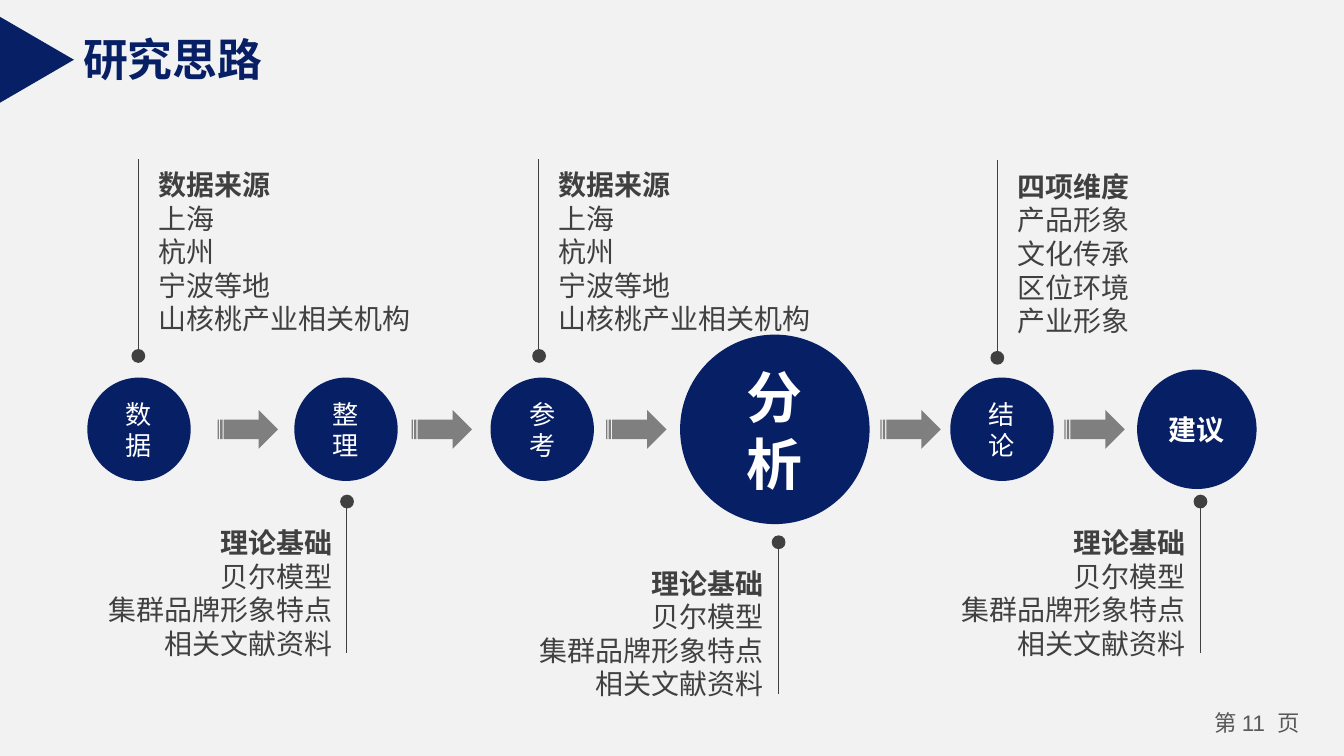
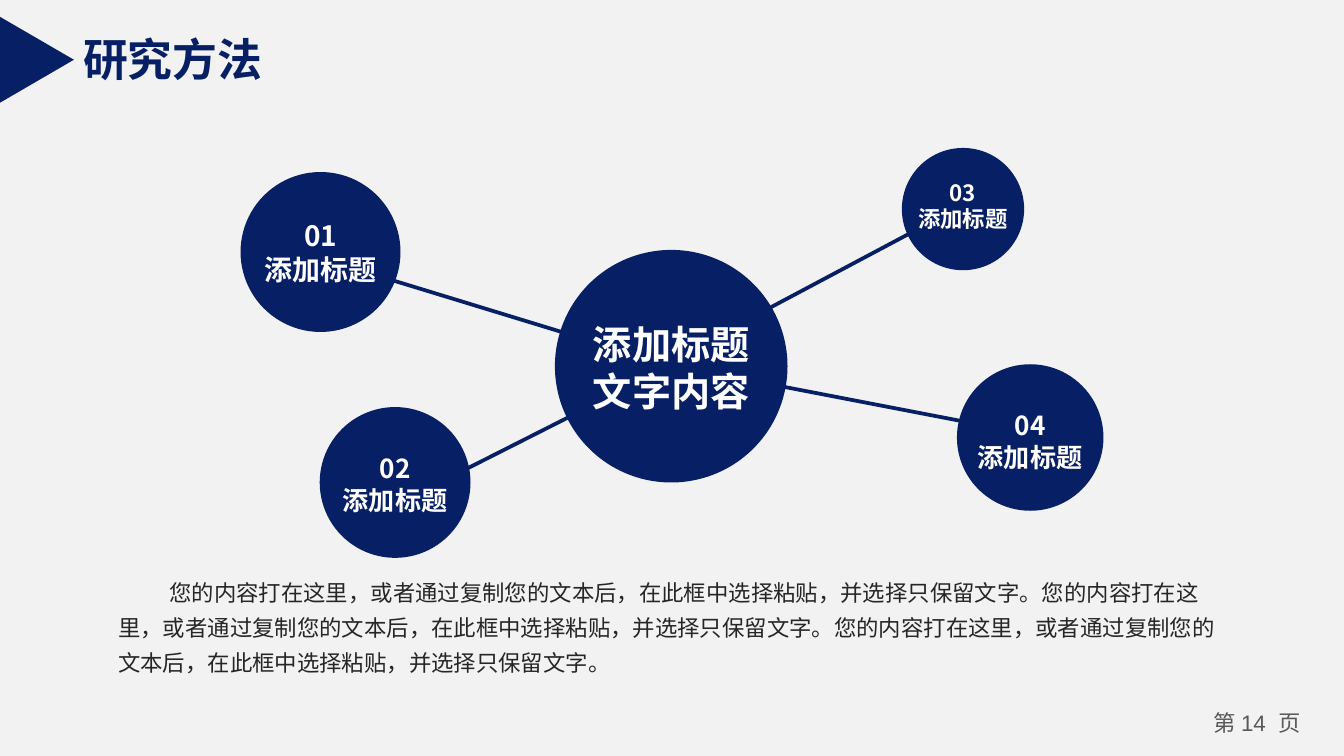
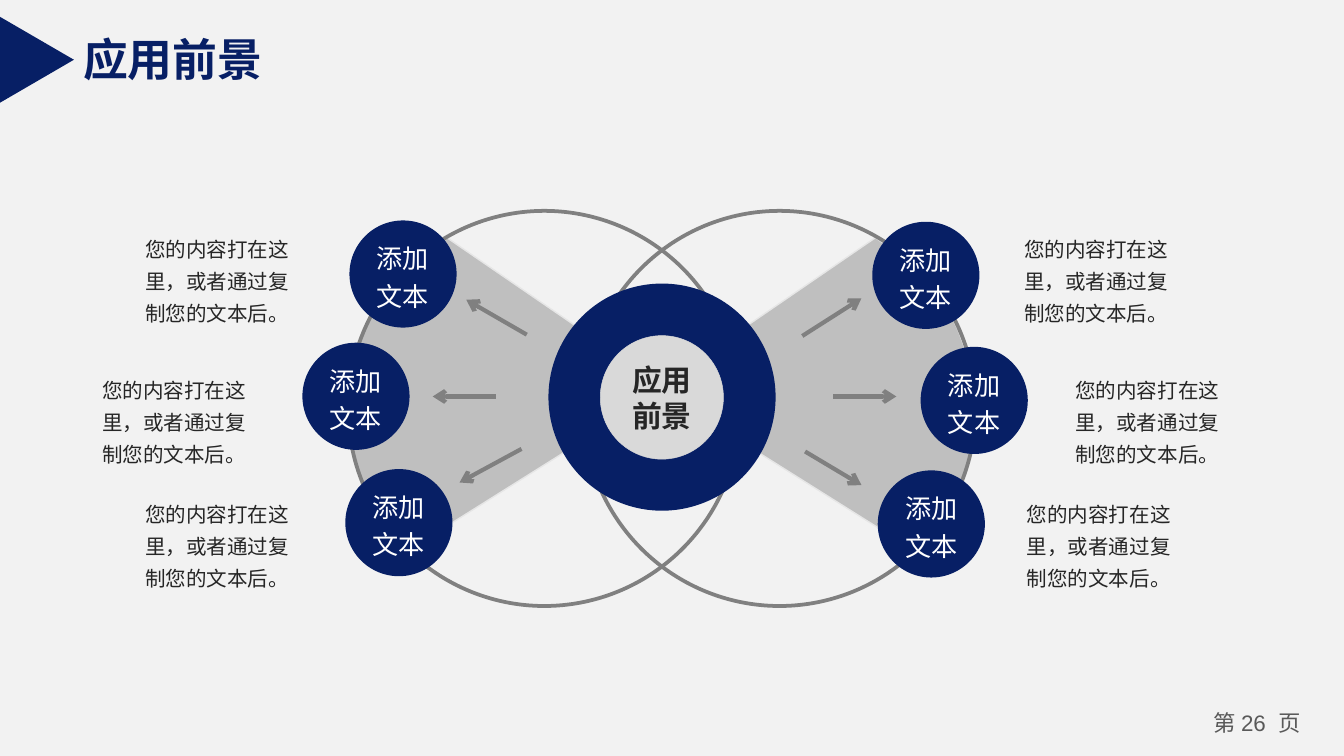
"""Build three research slides: process, method and outlook."""
from lxml import etree
from pptx import Presentation
from pptx.dml.color import RGBColor
from pptx.enum import shapes, text
from pptx.oxml.ns import qn
from pptx.util import Pt


class Theme:
    paper = RGBColor.from_string("F2F2F2")
    navy = RGBColor.from_string("071F65")
    white = RGBColor.from_string("FFFFFF")
    ink = RGBColor.from_string("262626")
    note = RGBColor.from_string("404040")
    footer = RGBColor.from_string("595959")
    arrow = RGBColor.from_string("7F7F7F")
    ring = RGBColor.from_string("808080")
    fan = RGBColor.from_string("BFBFBF")
    fan_edge = RGBColor.from_string("E6E6E6")
    core = RGBColor.from_string("D9D9D9")
    core_edge = RGBColor.from_string("D7D7D7")
    cjk = "Noto Sans CJK SC"
    latin = "Arial"
    condensed = "Roboto Condensed"
    title_size = 24
    footer_size = 12
    body_size = 12
    small_size = 11
    step_size = 14
    note_size = 15
    core_size = 16
    wide_inset = (7.2, 3.6)
    tight_inset = (5, 2.9)


SHAPE = shapes.MSO_SHAPE
ALIGN = text.PP_ALIGN


def draw(slide, kind, box, fill=None, outline=None, weight=1, lines=(), size=12,
         color=Theme.white, bold_lines=0, align=ALIGN.CENTER, spacing=None,
         inset=Theme.wide_inset, wrap=True, indent=0):
    """Add a preset shape, or a text box when kind is None, with its text."""
    box = [Pt(length) for length in box]
    if kind is None:
        shape = slide.shapes.add_textbox(*box)
    else:
        shape = slide.shapes.add_shape(kind, *box)
        shape.shadow.inherit = False
        if fill is None:
            shape.fill.background()
        else:
            shape.fill.solid()
            shape.fill.fore_color.rgb = fill
        if outline is None:
            shape.line.fill.background()
        else:
            shape.line.color.rgb = outline
            shape.line.width = Pt(weight)
    if not lines:
        return shape
    frame = shape.text_frame
    frame.word_wrap = wrap
    frame.margin_left = frame.margin_right = Pt(inset[0])
    frame.margin_top = frame.margin_bottom = Pt(inset[1])
    frame.vertical_anchor = text.MSO_ANCHOR.TOP if kind is None else text.MSO_ANCHOR.MIDDLE
    for index, runs in enumerate(lines):
        paragraph = frame.paragraphs[0] if index == 0 else frame.add_paragraph()
        paragraph.alignment = align
        if spacing:
            paragraph.line_spacing = spacing
        if indent:
            paragraph._p.get_or_add_pPr().set("indent", str(Pt(indent)))
        for words, font in runs:
            run = paragraph.add_run()
            run.text = words
            run.font.name = font
            run.font.size = Pt(size)
            run.font.bold = index < bold_lines
            run.font.color.rgb = color
            east_asian = etree.SubElement(run._r.get_or_add_rPr(), qn("a:ea"))
            east_asian.set("typeface", Theme.cjk)
    return shape


def connect(slide, start, end, color, weight, arrow=False):
    """Add a straight line, with an open arrowhead at its end if asked."""
    ends = [Pt(length) for length in (*start, *end)]
    connector = slide.shapes.add_connector(shapes.MSO_CONNECTOR.STRAIGHT, *ends)
    connector.line.color.rgb = color
    connector.line.width = Pt(weight)
    if arrow:
        etree.SubElement(connector.line._get_or_add_ln(), qn("a:tailEnd")).set("type", "arrow")
    etree.SubElement(connector._element.spPr, qn("a:effectLst"))


presentation = Presentation()
presentation.slide_width = Pt(720)
presentation.slide_height = Pt(405)

slides = []
for title, number in (("研究思路", "11  "), ("研究方法", "14  "), ("应用前景", "26  ")):
    slide = presentation.slides.add_slide(presentation.slide_layouts[6])
    slide.background.fill.solid()
    slide.background.fill.fore_color.rgb = Theme.paper
    draw(slide, None, (641, 377.3, 65, 21.6), size=Theme.footer_size, color=Theme.footer,
         lines=[[("第 ", Theme.cjk), (number, Theme.latin), ("页", Theme.cjk)]],
         inset=Theme.tight_inset)
    draw(slide, None, (37.4, 13.7, 111.6, 36), lines=[[(title, Theme.latin)]],
         size=Theme.title_size, color=Theme.navy, bold_lines=1, align=ALIGN.LEFT, wrap=False)
    marker = draw(slide, SHAPE.ISOSCELES_TRIANGLE, (-3.2, 12.2, 46, 39.6), Theme.navy)
    marker.rotation = 90
    slides.append(slide)
process, method, outlook = slides

axis = 230
steps = [
    ("数据", 74.5, 55.4, Theme.step_size, 0),
    ("整理", 185.4, 55.4, Theme.step_size, 0),
    ("参考", 290.5, 55.4, Theme.step_size, 0),
    ("分析", 415.1, 101.5, 30, 1),
    ("结论", 536.8, 55.4, Theme.step_size, 0),
    ("建议", 641.2, 64, 15, 1),
]
for label, center, diameter, size, bold_lines in steps:
    draw(process, SHAPE.OVAL, (center - diameter / 2, axis - diameter / 2, diameter, diameter),
         Theme.navy, lines=[[(label, Theme.cjk)]], size=size, bold_lines=bold_lines)
for left in (116.6, 220.5, 324.7, 471.6, 570.2):
    draw(process, SHAPE.STRIPED_RIGHT_ARROW, (left, axis - 10.4, 32.4, 20.9), Theme.arrow)

sources = ["数据来源", "上海", "杭州", "宁波等地", "山核桃产业相关机构"]
dimensions = ["四项维度", "产品形象", "文化传承", "区位环境", "产业形象"]
theory = ["理论基础", "贝尔模型", "集群品牌形象特点", "相关文献资料"]
notes = [
    (sources, 74, 187, 151.2, True),
    (theory, 185.8, 265, 135.4, False),
    (sources, 288.7, 187, 151.2, True),
    (theory, 417, 286.8, 135.4, False),
    (dimensions, 534.2, 188, 75, True),
    (theory, 643, 265, 135.4, False),
]
for lines, stem, dot_top, width, above in notes:
    draw(process, SHAPE.OVAL, (stem - 3.6, dot_top, 7.4, 7.4), Theme.note)
    if above:
        connect(process, (stem, dot_top), (stem, dot_top - 102), Theme.note, 0.5)
        box = (stem + 3.7, dot_top - 100.8, width, 98)
    else:
        connect(process, (stem, dot_top + 7.4), (stem, dot_top + 85), Theme.note, 0.5)
        box = (stem - width - 0.7, dot_top + 13, width, 80)
    draw(process, None, box, lines=[[(line, Theme.cjk)] for line in lines],
         size=Theme.note_size, color=Theme.note, bold_lines=1,
         align=ALIGN.LEFT if above else ALIGN.RIGHT, wrap=False)

links = [
    ((197.3, 146.2), (357, 195)),
    ((242.6, 254.9), (358, 196.5)),
    ((353, 196.5), (503.3, 116.6)),
    ((356.4, 195), (551.5, 232.6)),
]
for start, end in links:
    connect(method, start, end, Theme.navy, 2)

bubbles = [
    (["添加标题", "文字内容"], 359.6, 196.2, 124.6, 124.6, 167.8, 21),
    (["01", "添加标题"], 171.7, 135, 85.7, 128.2, 113.8, 15),
    (["02", "添加标题"], 211.7, 258.5, 80.8, 121, 239, 14),
    (["03", "添加标题"], 515.9, 112, 65.5, 98, 92.2, 12),
    (["04", "添加标题"], 551.9, 234.4, 78.5, 117.4, 216, 14),
]
for lines, x, y, diameter, text_width, text_top, size in bubbles:
    draw(method, SHAPE.OVAL, (x - diameter / 2, y - diameter / 2, diameter, diameter), Theme.navy)
    draw(method, None, (x - text_width / 2, text_top, text_width, 2.4 * size + 7.2),
         lines=[[(line, Theme.cjk)] for line in lines], size=size, bold_lines=2)

sentence = "您的内容打在这里，或者通过复制您的文本后，在此框中选择粘贴，并选择只保留文字。"
draw(method, None, (58.3, 303.1, 601.2, 62), lines=[[(sentence * 3, Theme.cjk)]],
     size=Theme.body_size, color=Theme.ink, align=ALIGN.LEFT, spacing=1.3,
     inset=Theme.tight_inset, indent=27.4)

fan_corners = [(469, 127.4), (351.4, 208), (490.3, 295.2)]
fan_curves = [
    [(507.6, 165.6), (491, 142.6), (494.6, 144.7), (469, 127.4)],
    [(490.3, 295.2), (524.2, 253.4), (520.6, 239), (522, 217.4)],
    [(522, 217.4), (521.3, 200.2), (517, 181.4), (507.6, 165.6)],
]
arcs = []
for curve in fan_curves:
    arc = []
    for step in range(9):
        t = step / 8
        weights = ((1 - t) ** 3, 3 * t * (1 - t) ** 2, 3 * t * t * (1 - t), t ** 3)
        arc.append([sum(w * point[i] for w, point in zip(weights, curve)) for i in (0, 1)])
    arcs.append(arc)
outline = arcs[0] + fan_corners[1:] + arcs[1] + arcs[2]
for mirrored in (False, True):
    points = [(Pt(708.5 - x if mirrored else x), Pt(y)) for x, y in outline]
    builder = outlook.shapes.build_freeform(*points[0], scale=1.0)
    builder.add_line_segments(points[1:], close=True)
    fan = builder.convert_to_shape()
    fan.shadow.inherit = False
    fan.fill.solid()
    fan.fill.fore_color.rgb = Theme.fan
    fan.line.color.rgb = Theme.fan_edge
    fan.line.width = Pt(0.75)

for left in (186.5, 312.5):
    draw(outlook, SHAPE.OVAL, (left, 113, 210.2, 211.7), outline=Theme.ring, weight=2)

rays = [
    ((282.2, 179.3), (249.8, 160.6)),
    ((265.7, 212.4), (231.8, 212.4)),
    ((279.4, 240.5), (246.2, 258.5)),
    ((431.3, 241.9), (461.5, 259.9)),
    ((446.4, 212.4), (480.2, 212.4)),
    ((429.8, 180), (461.5, 159.8)),
]
for start, end in rays:
    connect(outlook, start, end, Theme.ring, 2.25, arrow=True)

draw(outlook, SHAPE.OVAL, (293.8, 151.9, 121.7, 121.7), Theme.navy)
draw(outlook, SHAPE.OVAL, (321.6, 179.8, 66, 66.2), Theme.core, Theme.core_edge, 0.25,
     lines=[[("应用前景", Theme.condensed)]], size=Theme.core_size, color=Theme.ink, bold_lines=1)

satellites = [
    (187.2, 118.1, 72.7, 120.2),
    (467.3, 118.8, 543.6, 120.2),
    (162, 183.6, 49.7, 195.8),
    (493.2, 185.8, 571, 195.8),
    (185, 251.3, 72.7, 262.1),
    (470.2, 252, 545, 262.1),
]
for left, top, note_left, note_top in satellites:
    draw(outlook, SHAPE.OVAL, (left, top, 57.4, 57.4), Theme.navy,
         lines=[[("添加文本", Theme.latin)]], size=Theme.step_size, spacing=1.2,
         inset=Theme.tight_inset)
    draw(outlook, None, (note_left, note_top, 94.3, 58.3),
         lines=[[("您的内容打在这里，或者通过复制您的文本后。", Theme.cjk)]],
         size=Theme.small_size, color=Theme.ink, align=ALIGN.LEFT, spacing=1.3,
         inset=Theme.tight_inset)

presentation.save("out.pptx")
